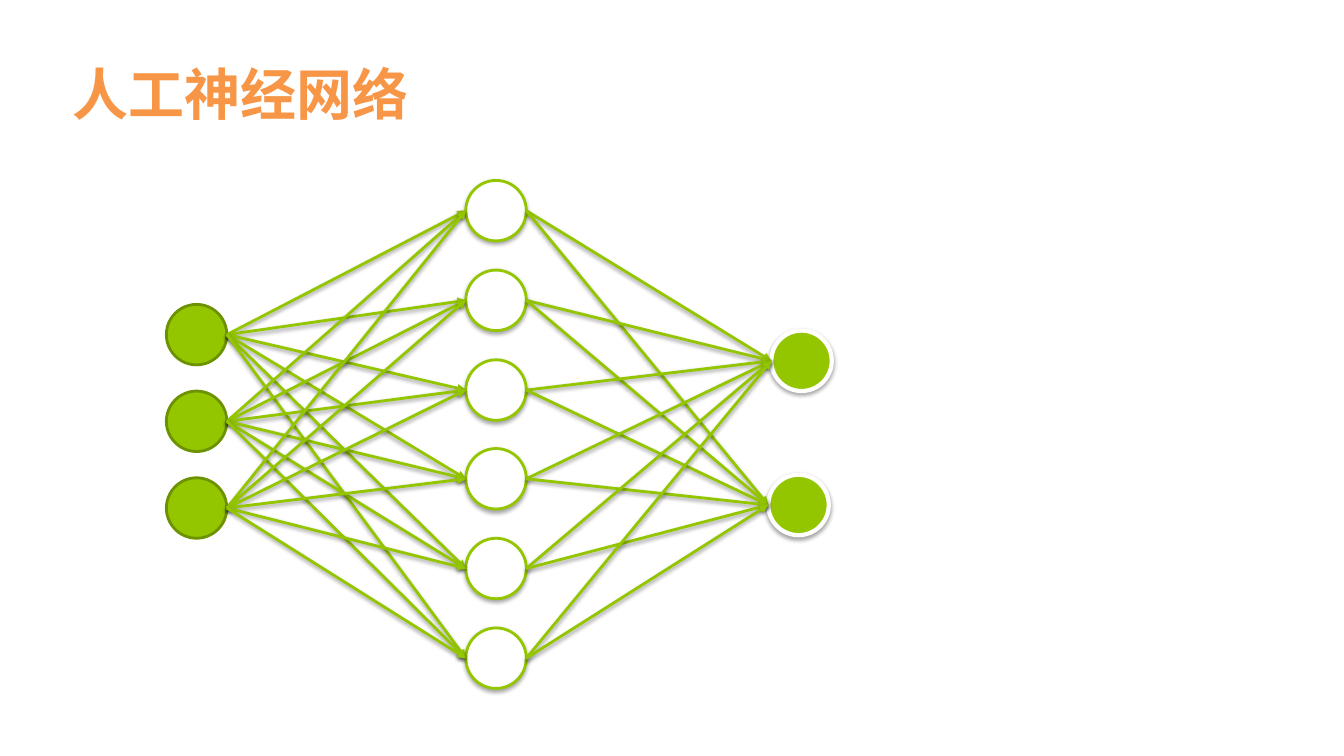
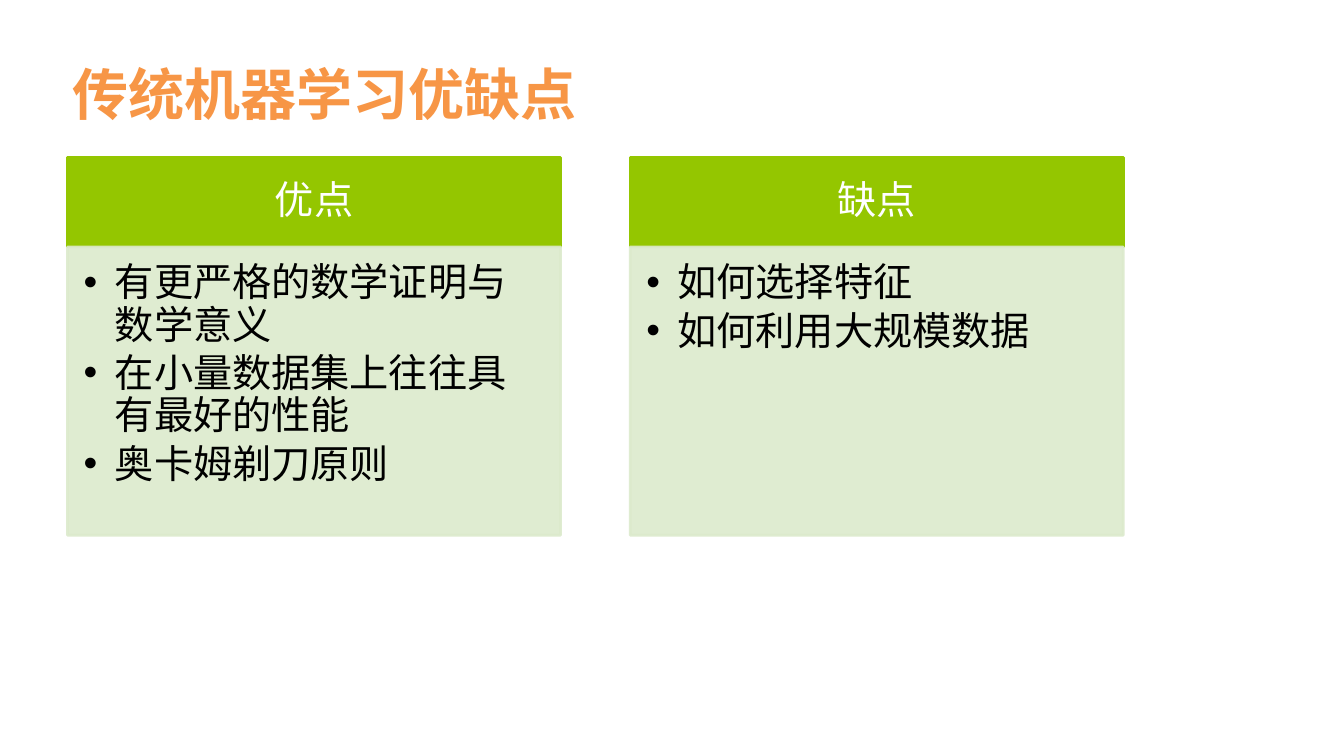
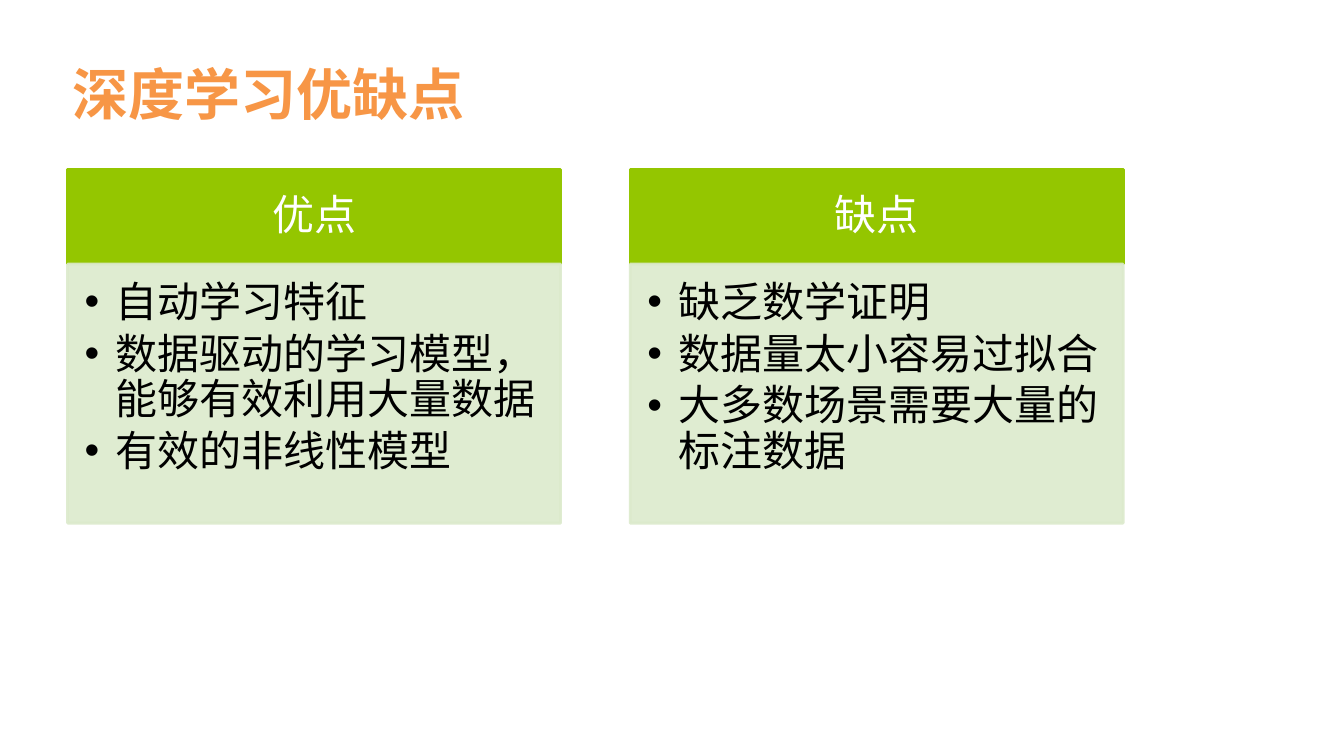
from dataclasses import dataclass
from itertools import product

from pptx import Presentation
from pptx import util as u
from pptx.dml.color import RGBColor
from pptx.enum import shapes, text
from pptx.oxml import parse_xml
from pptx.oxml.ns import nsdecls, qn

PX = 9144


@dataclass(frozen=True)
class Theme:
    font: str = "Calibri"
    head: str = "F79646"
    green: str = "94C600"
    dark: str = "6D9200"
    pale: str = "DCEACC"
    white: str = "FFFFFF"
    black: str = "000000"
    title: int = 40
    big: int = 30
    mid: int = 28
    thin: int = 2
    thick: int = 3


def px(n):
    return u.Emu(round(n) * PX)


def rgb(code):
    return RGBColor.from_string(code)


class Deck:
    def __init__(self, theme):
        self.theme = theme
        self.prs = Presentation()
        self.prs.slide_width = px(1333)
        self.prs.slide_height = px(750)
        self.slide = None

    def page(self, title, kind):
        self.slide = self.prs.slides.add_slide(self.prs.slide_layouts[kind])
        t = self.theme
        box = self.slide.shapes.title
        self.place(box, 67, 30, 921, 125)
        self.label(box, [title], t.title, t.head, bold=True)
        self.frame(box, (5, 5, 5, 5), text.MSO_ANCHOR.MIDDLE)

    def place(self, box, x, y, w, h):
        box.left, box.top, box.width, box.height = map(px, (x, y, w, h))

    def frame(self, box, pads, anchor):
        tf = box.text_frame
        tf.word_wrap = True
        tf.auto_size = text.MSO_AUTO_SIZE.NONE
        tf.vertical_anchor = anchor
        tf.margin_left, tf.margin_top, tf.margin_right, tf.margin_bottom = map(px, pads)

    def label(self, box, lines, size, color, bold=False, align=text.PP_ALIGN.LEFT):
        tf = box.text_frame
        tf.text = "\n".join(lines)
        for p in tf.paragraphs:
            p.alignment = align
            p.space_before = u.Pt(0)
            font = p.runs[0].font
            font.name, font.size, font.bold = self.theme.font, u.Pt(size), bold
            font.color.rgb = rgb(color)

    def paint(self, shape, fill, line, width):
        shape.fill.solid()
        shape.fill.fore_color.rgb = rgb(fill)
        shape.line.color.rgb = rgb(line)
        shape.line.width = u.Pt(width)

    def fade(self, shape, share):
        for color in shape.element.spPr.iter(qn("a:srgbClr")):
            color.append(parse_xml(f'<a:alpha {nsdecls("a")} val="{share * 1000}"/>'))

    def shade(self, shape, share, gap):
        shape.element.spPr.append(parse_xml(
            f'<a:effectLst {nsdecls("a")}><a:outerShdw blurRad="{u.Pt(3)}" '
            f'dist="{u.Pt(gap)}" dir="5400000" rotWithShape="0">'
            f'<a:srgbClr val="{self.theme.black}"><a:alpha val="{share * 1000}"/>'
            '</a:srgbClr></a:outerShdw></a:effectLst>'))

    def node(self, x, y, size, fill, line, width, shadow=True):
        dot = self.slide.shapes.add_shape(
            shapes.MSO_SHAPE.OVAL, px(x), px(y), px(size), px(size))
        self.paint(dot, fill, line, width)
        if shadow:
            self.shade(dot, 35, 1.8)
        else:
            dot.shadow.inherit = False

    def arrow(self, start, end):
        line = self.slide.shapes.add_connector(
            shapes.MSO_CONNECTOR.STRAIGHT, *map(px, start + end))
        line.line.color.rgb = rgb(self.theme.green)
        line.line.width = u.Pt(self.theme.thin)
        ln = line.element.spPr.find(qn("a:ln"))
        ln.append(parse_xml(f'<a:tailEnd {nsdecls("a")} type="triangle"/>'))
        self.shade(line, 38, 1.6)

    def card(self, col, head, items, top, split, end, size):
        t = self.theme
        slots = {p.placeholder_format.idx: p for p in self.slide.placeholders}
        cap, body = slots[2 * col + 1], slots[2 * col + 2]
        x, wide = 67 + 558 * col, 489
        side, edge, inner, base = (size * k for k in (0.78, 0.44, 0.57, 0.86))

        self.place(cap, x, top, wide, split - top)
        self.paint(cap, t.green, t.green, t.thin)
        self.label(cap, [head], size, t.white, align=text.PP_ALIGN.CENTER)
        self.frame(cap, (side, edge, side, edge), text.MSO_ANCHOR.MIDDLE)
        cap.text_frame.paragraphs[0].line_spacing = 0.9

        self.place(body, x, split, wide, end - split)
        self.paint(body, t.pale, t.pale, t.thin)
        self.fade(body, 90)
        self.label(body, items, size, t.black)
        self.frame(body, (inner, inner, side, base), text.MSO_ANCHOR.TOP)
        for p in body.text_frame.paragraphs:
            p.line_spacing = 0.9
            p.space_after = u.Pt(size * 0.15)
            props = p._p.get_or_add_pPr()
            props.set("marL", str(px(31)))
            props.set("indent", str(px(-31)))

    def pair(self, title, pros, cons, top, split, end, size):
        self.page(title, 4)
        for col, (head, items) in enumerate((("优点", pros), ("缺点", cons))):
            self.card(col, head, items, top, split, end, size)

    def net(self, title):
        self.page(title, 5)
        t, size = self.theme, 60
        first = [(165, 302 + 86 * i) for i in range(3)]
        inner = [(462, 179 + 88.8 * i) for i in range(6)]
        last = [(765, 328), (762, 471)]
        for x, y in first:
            self.node(x, y, size, t.green, t.dark, t.thin, shadow=False)
        for x, y in inner:
            self.node(x, y, size, t.white, t.green, t.thin)
        for x, y in last:
            self.node(x, y, size, t.green, t.white, t.thick)
        for left, right in ((first, inner), (inner, last)):
            for (ax, ay), (bx, by) in product(left, right):
                self.arrow((ax + size, ay + size / 2), (bx, by + size / 2))


def main():
    theme = Theme()
    deck = Deck(theme)
    deck.net("人工神经网络")
    deck.pair(
        "传统机器学习优缺点",
        ["有更严格的数学证明与数学意义", "在小量数据集上往往具有最好的性能", "奥卡姆剃刀原则"],
        ["如何选择特征", "如何利用大规模数据"],
        156, 245, 531, theme.mid)
    deck.pair(
        "深度学习优缺点",
        ["自动学习特征", "数据驱动的学习模型，能够有效利用大量数据", "有效的非线性模型"],
        ["缺乏数学证明", "数据量太小容易过拟合", "大多数场景需要大量的标注数据"],
        168, 262, 519, theme.big)
    deck.prs.save("out.pptx")


if __name__ == "__main__":
    main()
